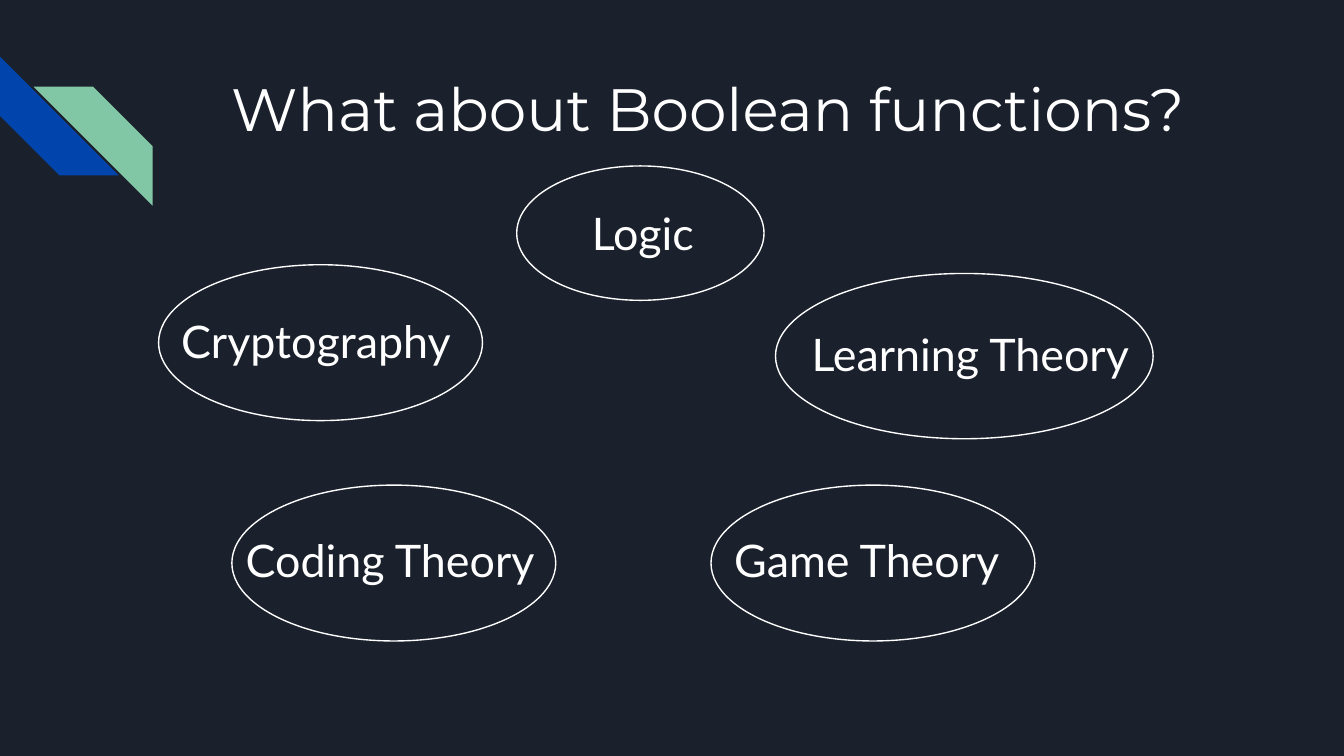
import dataclasses

import pptx
import pptx.dml.color
import pptx.enum.shapes
import pptx.enum.text
import pptx.util

EMU_PER_PX = 4572
WHITE = "FFFFFF"


@dataclasses.dataclass(frozen=True)
class Box:
    left: int
    top: int
    width: int
    height: int

    def emu(self) -> list[pptx.util.Emu]:
        return [pptx.util.Emu(px * EMU_PER_PX) for px in dataclasses.astuple(self)]


@dataclasses.dataclass(frozen=True)
class Stripe:
    box: Box
    rotation: int
    fill: str


@dataclasses.dataclass(frozen=True)
class Field:
    name: str
    label: Box
    oval: Box


STRIPES = [
    Stripe(Box(0, 84, 177, 177), 270, "0145AC"),
    Stripe(Box(50, 129, 177, 177), 90, "82C7A5"),
]

FIELDS = [
    Field("Logic", Box(861, 286, 220, 162), Box(769, 247, 368, 200)),
    Field("Cryptography", Box(250, 447, 454, 162), Box(236, 394, 482, 232)),
    Field("Learning Theory", Box(1188, 466, 578, 162), Box(1154, 407, 562, 246)),
    Field("Game Theory", Box(1073, 772, 454, 162), Box(1058, 722, 482, 232)),
    Field("Coding Theory", Box(346, 772, 482, 162), Box(345, 722, 482, 232)),
]


def color(value: str) -> pptx.dml.color.RGBColor:
    return pptx.dml.color.RGBColor.from_string(value)


def draw_stripe(slide, stripe: Stripe) -> None:
    kind = pptx.enum.shapes.MSO_SHAPE.DIAGONAL_STRIPE
    band = slide.shapes.add_shape(kind, *stripe.box.emu())
    band.rotation = stripe.rotation
    band.shadow.inherit = False
    band.fill.solid()
    band.fill.fore_color.rgb = color(stripe.fill)
    band.line.fill.background()


def draw_text(slide, text: str, box: Box, font: str, size: int, align) -> None:
    frame = slide.shapes.add_textbox(*box.emu()).text_frame
    frame.word_wrap = True
    frame.margin_left = frame.margin_right = pptx.util.Inches(0.1)
    frame.margin_top = frame.margin_bottom = pptx.util.Inches(0.1)
    frame.text = text
    paragraph = frame.paragraphs[0]
    paragraph.alignment = align
    run = paragraph.runs[0]
    run.font.name = font
    run.font.size = pptx.util.Pt(size)
    run.font.color.rgb = color(WHITE)


def draw_field(slide, field: Field) -> None:
    draw_text(slide, field.name, field.label, "Lato", 24, pptx.enum.text.PP_ALIGN.LEFT)
    oval = slide.shapes.add_shape(pptx.enum.shapes.MSO_SHAPE.OVAL, *field.oval.emu())
    oval.shadow.inherit = False
    oval.fill.background()
    oval.line.color.rgb = color(WHITE)
    oval.line.width = pptx.util.Pt(0.75)


def main() -> None:
    deck = pptx.Presentation()
    deck.slide_width = pptx.util.Emu(2000 * EMU_PER_PX)
    deck.slide_height = pptx.util.Emu(1125 * EMU_PER_PX)
    slide = deck.slides.add_slide(deck.slide_layouts[6])
    slide.background.fill.solid()
    slide.background.fill.fore_color.rgb = color("1B212C")

    for stripe in STRIPES:
        draw_stripe(slide, stripe)
    draw_text(slide, "What about Boolean functions?", Box(284, 87, 1540, 200),
              "Montserrat", 32, pptx.enum.text.PP_ALIGN.CENTER)
    for field in FIELDS:
        draw_field(slide, field)

    deck.save("out.pptx")


if __name__ == "__main__":
    main()
